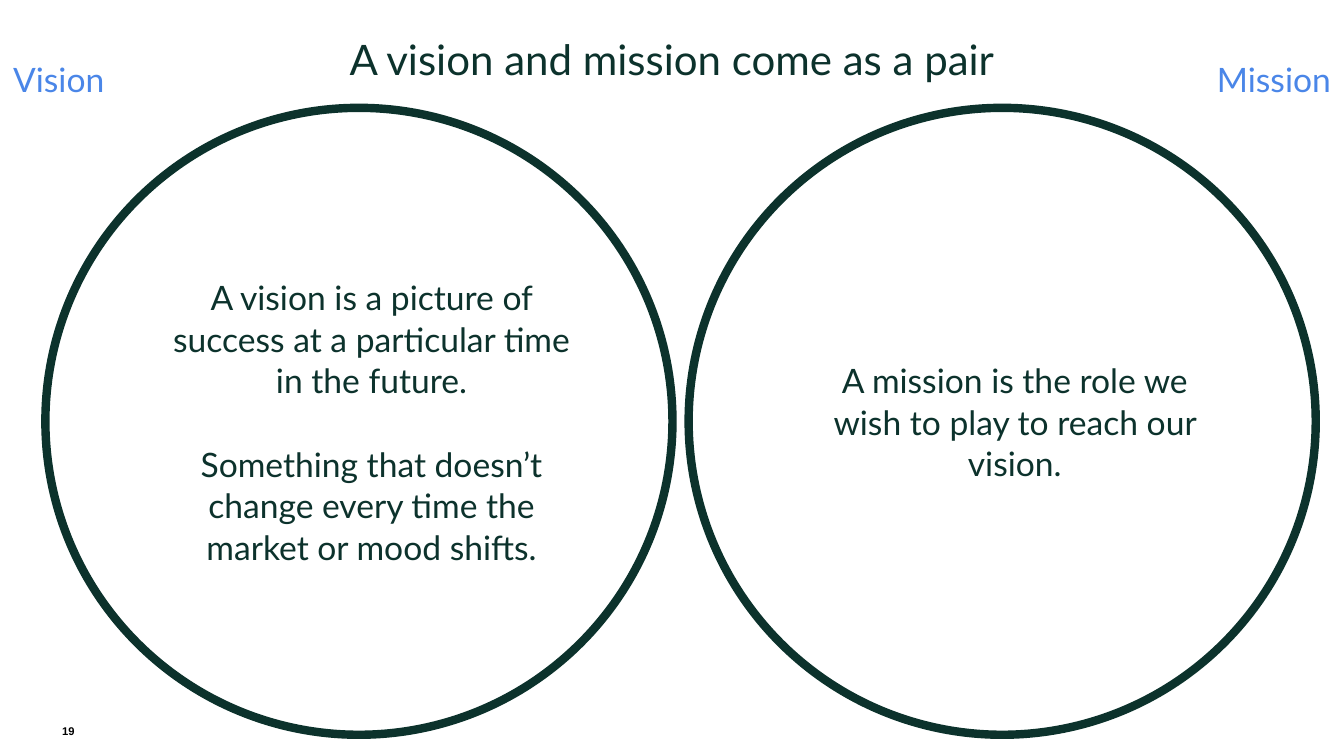
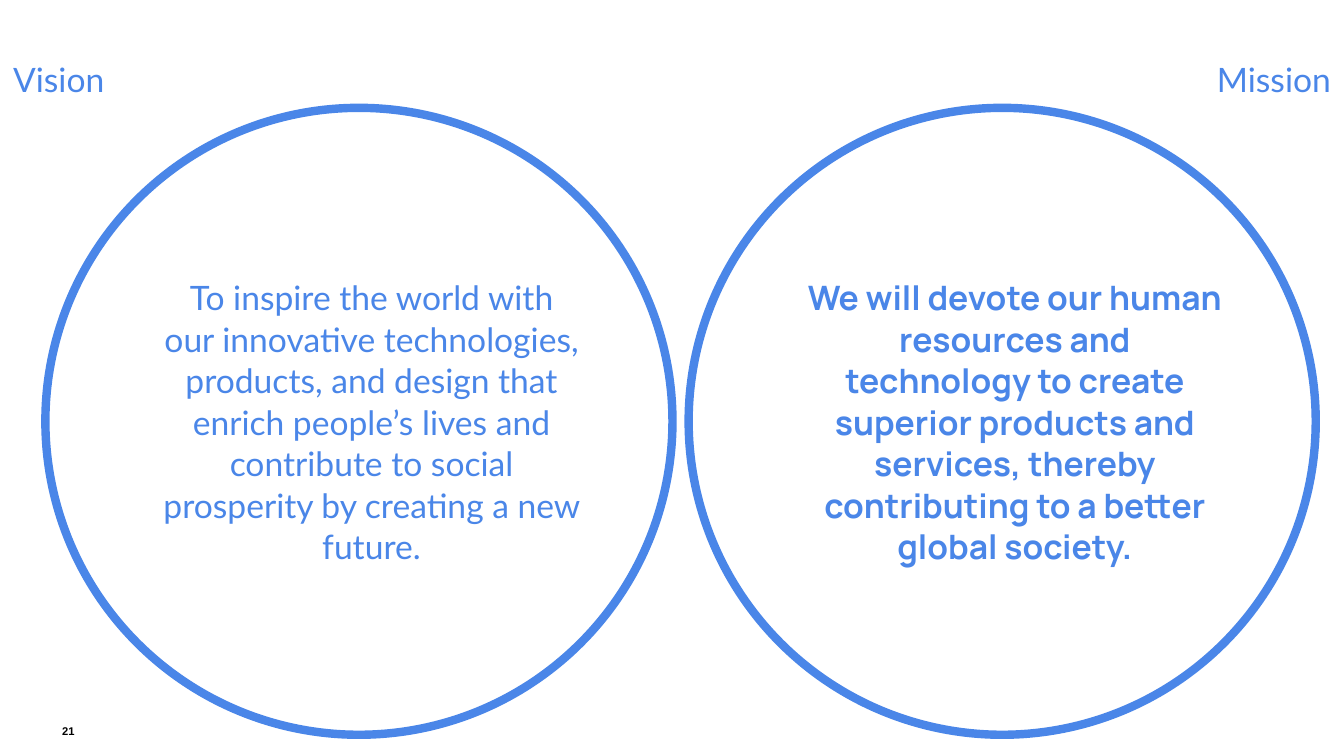
from collections import namedtuple

from pptx import Presentation
from pptx import util as u
from pptx.dml.color import RGBColor
from pptx.enum import shapes, text

COLORS = {"white": "FFFFFF", "black": "000000", "forest": "0C322C", "blue": "4A86E8"}
WIDTH, HEIGHT = u.Inches(13.33), u.Inches(7.5)
ALIGN, ANCHOR = text.PP_ALIGN, text.MSO_ANCHOR
INSET = u.Inches(0.13)
TEXT_INDENT = u.Inches(0.25)

Box = namedtuple("Box", "left top width height")

FORMATS = {
    "title": {"size": u.Pt(30), "name": "Lato", "bold": False},
    "body": {"size": u.Pt(24), "name": "Lato", "bold": False},
    "strong": {"size": u.Pt(24), "name": "Manrope", "bold": True},
    "number": {"size": u.Pt(8), "name": "Arial", "bold": True},
}

SLIDES = [
    {
        "title": "A vision and mission come as a pair",
        "number": "19",
        "color": "forest",
        "circles": [
            (["A vision is a picture of success at a particular time in the future.",
              "Something that doesn’t change every time the market or mood shifts."], "body"),
            (["A mission is the role we wish to play to reach our vision."], "body"),
        ],
    },
    {
        "title": None,
        "number": "21",
        "color": "blue",
        "circles": [
            (["To inspire the world with our innovative technologies, products, and design "
              "that enrich people’s lives and contribute to social prosperity by creating "
              "a new future."], "body"),
            (["We will devote our human resources and technology to create superior products "
              "and services, thereby contributing to a better global society."], "strong"),
        ],
    },
]


def share_box(left, top, width, height):
    return Box(int(WIDTH * left / 100), int(HEIGHT * top / 100),
               int(WIDTH * width / 100), int(HEIGHT * height / 100))


TITLE_BOX = share_box(19.73, 2.13, 60.54, 11.07)
LABEL_BAND = share_box(0, 6, 100, 8.93)
CIRCLE_BAND = share_box(3.38, 14.27, 94.52, 82.93)
NUMBER_BOX = share_box(0.08, 95.73, 5.48, 1.73)


def color(name):
    return RGBColor.from_string(COLORS[name])


def set_attributes(target, values):
    for name, value in values.items():
        setattr(target, name, value)


def write_text(shape, lines, style, color_name, align, anchor=ANCHOR.TOP,
               sides=0, ends=0, spacing=1.03, indent=0):
    frame = shape.text_frame
    set_attributes(frame, {
        "word_wrap": True, "auto_size": text.MSO_AUTO_SIZE.NONE,
        "vertical_anchor": anchor, "margin_left": sides, "margin_right": sides,
        "margin_top": ends, "margin_bottom": ends,
    })
    for index, line in enumerate(lines):
        paragraph = frame.add_paragraph() if index else frame.paragraphs[0]
        paragraph.text = line
        set_attributes(paragraph, {
            "alignment": align, "line_spacing": spacing,
            "space_before": u.Pt(30 if index else 0),
        })
        properties = paragraph._p.get_or_add_pPr()
        properties.set("marL", str(indent))
        properties.set("indent", "0")
        set_attributes(paragraph.font, FORMATS[style])
        paragraph.font.color.rgb = color(color_name)


def add_title(slide, box, title):
    shape = slide.shapes.title
    set_attributes(shape, box._asdict())
    write_text(shape, [title], "title", "forest", ALIGN.CENTER, ANCHOR.MIDDLE)


def add_labels(slide, band):
    width = int(band.width * 0.1545)
    labels = [("Vision", band.left, ALIGN.LEFT),
              ("Mission", band.left + band.width - width, ALIGN.RIGHT)]
    for label, left, align in labels:
        shape = slide.shapes.add_textbox(left, band.top, width, band.height)
        write_text(shape, [label], "body", "blue", align, sides=INSET, ends=INSET, spacing=1.0)


def add_circles(slide, band, circles, color_name):
    diameter = band.height
    step = band.width - diameter
    for index, (lines, style) in enumerate(circles):
        circle = slide.shapes.add_shape(shapes.MSO_SHAPE.OVAL, band.left + index * step,
                                        band.top, diameter, diameter)
        circle.shadow.inherit = False
        circle.fill.solid()
        circle.fill.fore_color.rgb = color("white")
        circle.line.color.rgb = color(color_name)
        circle.line.width = u.Pt(6)
        write_text(circle, lines, style, color_name, ALIGN.CENTER, ANCHOR.MIDDLE,
                   ends=INSET, indent=TEXT_INDENT)


def add_number(slide, box, number):
    shape = slide.shapes.add_textbox(*box)
    write_text(shape, [number], "number", "black", ALIGN.RIGHT)


def add_pair_slide(presentation, content):
    layout_name = "Title Only" if content["title"] else "Blank"
    slide = presentation.slides.add_slide(presentation.slide_layouts.get_by_name(layout_name))
    if content["title"]:
        add_title(slide, TITLE_BOX, content["title"])
    add_circles(slide, CIRCLE_BAND, content["circles"], content["color"])
    add_labels(slide, LABEL_BAND)
    add_number(slide, NUMBER_BOX, content["number"])


def main():
    presentation = Presentation()
    set_attributes(presentation, {"slide_width": WIDTH, "slide_height": HEIGHT})
    for content in SLIDES:
        add_pair_slide(presentation, content)
    presentation.save("out.pptx")


if __name__ == "__main__":
    main()
